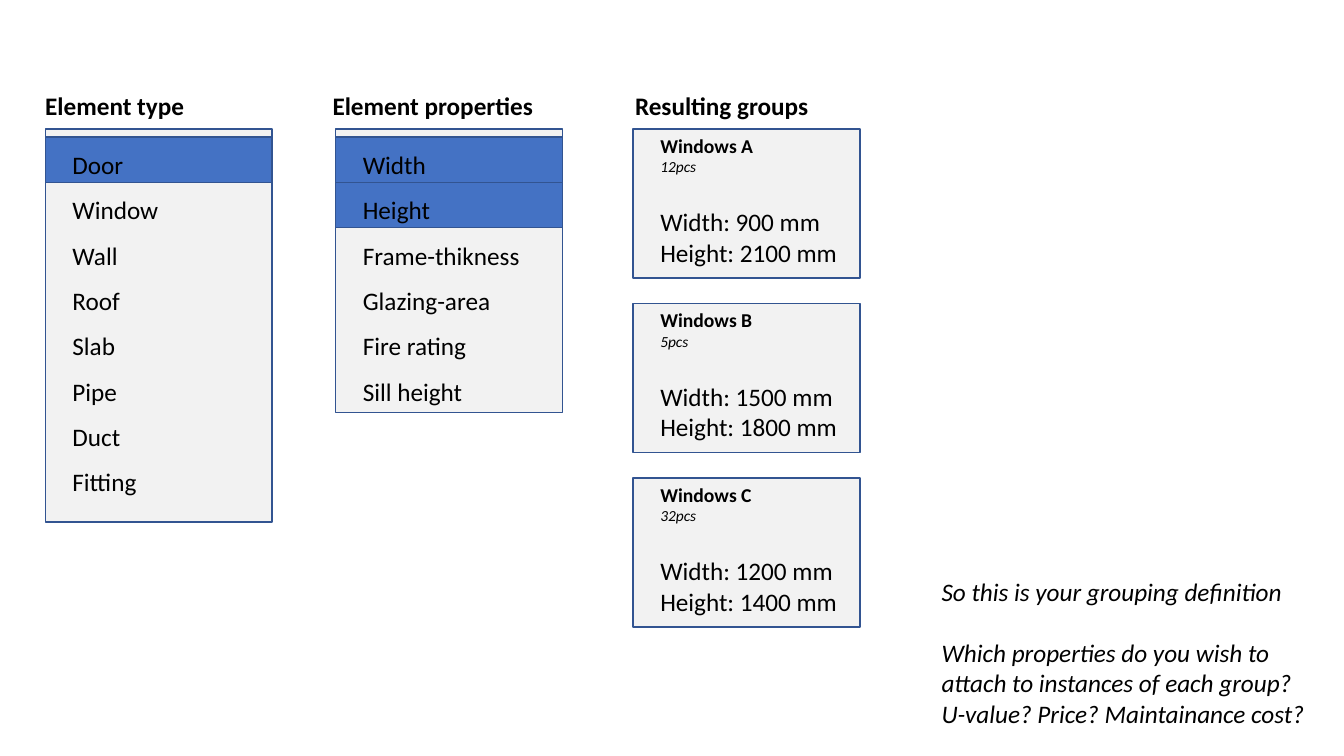
from pptx import Presentation
from pptx.dml.color import RGBColor
from pptx.enum.text import MSO_AUTO_SIZE
from pptx.util import Inches, Pt

BLACK = RGBColor(0x00, 0x00, 0x00)
PANEL_GREY = RGBColor(0xF2, 0xF2, 0xF2)
SELECTED_BLUE = RGBColor(0x44, 0x72, 0xC4)
OUTLINE_BLUE = RGBColor(0x32, 0x54, 0x91)

BODY = {"name": "Calibri", "size": Pt(18), "bold": False, "italic": False}
HEADING = {**BODY, "bold": True}
GROUP_NAME = {**HEADING, "size": Pt(14)}
COUNT = {**BODY, "size": Pt(11), "italic": True}
REMARK = {**BODY, "italic": True}

SPACED = {"line_spacing": 1.5}
AFTER_GAP = {"space_before": Pt(22)}

TOP = 1.28
COLUMN_WIDTH = 2.25
ROW_HEIGHT = 0.45
CARD_HEIGHT = 1.48
CARD_STEP = 1.73
TEXT_INSET = 0.17


class GroupingSlide:
    """Draws the headed lists, group cards and remarks of one slide."""

    def __init__(self, deck):
        self.slide = deck.slides.add_slide(deck.slide_layouts[6])
        self.shapes = self.slide.shapes

    def start_column(self, heading, left, width):
        self.shapes = self.slide.shapes.add_group_shape().shapes
        self.text(left, 0.85, width, 0.4, [(heading, HEADING, {})])

    def box(self, left, top, height, color):
        box = self.shapes.add_shape(1, Inches(left), Inches(top),
                                    Inches(COLUMN_WIDTH), Inches(height))
        box.shadow.inherit = False
        box.fill.solid()
        box.fill.fore_color.rgb = color
        box.line.color.rgb = OUTLINE_BLUE
        box.line.width = Pt(1)

    def text(self, left, top, width, height, lines):
        frame = self.shapes.add_textbox(Inches(left), Inches(top), Inches(width),
                                        Inches(height)).text_frame
        frame.word_wrap = False
        frame.auto_size = MSO_AUTO_SIZE.SHAPE_TO_FIT_TEXT
        for index, (wording, style, spacing) in enumerate(lines):
            paragraph = frame.add_paragraph() if index else frame.paragraphs[0]
            run = paragraph.add_run()
            run.text = wording
            run.font.color.rgb = BLACK
            for target, values in ((run.font, style), (paragraph, spacing)):
                for attribute, value in values.items():
                    setattr(target, attribute, value)

    def choices(self, left, height, selected, text_size, options):
        self.box(left, TOP, height, PANEL_GREY)
        for row in range(selected):
            self.box(left, 1.36 + row * ROW_HEIGHT, ROW_HEIGHT, SELECTED_BLUE)
        self.text(left + TEXT_INSET, TOP, *text_size,
                  [(option, BODY, SPACED) for option in options])

    def card(self, left, top, name, count, width_mm, height_mm):
        self.box(left, top, CARD_HEIGHT, PANEL_GREY)
        self.text(left + TEXT_INSET, top, 1.98, CARD_HEIGHT, [
            (name, GROUP_NAME, {}),
            (f"{count}pcs", COUNT, {}),
            (f"Width: {width_mm} mm", BODY, AFTER_GAP),
            (f"Height: {height_mm} mm", BODY, {}),
        ])

    def remarks(self):
        self.shapes = self.slide.shapes
        self.text(9.24, 5.67, 3.86, 1.62, [
            ("So this is your grouping definition", REMARK, {}),
            ("Which properties do you wish to", REMARK, AFTER_GAP),
            ("attach to instances of each group?", REMARK, {}),
            ("U-value? Price? Maintainance cost?", REMARK, {}),
        ])


def main():
    deck = Presentation()
    deck.slide_width, deck.slide_height = Inches(13.33), Inches(7.5)
    page = GroupingSlide(deck)

    page.start_column("Element type", 0.35, 1.59)
    page.choices(0.45, 3.9, 1, (1.06, 3.69),
                 ["Door", "Window", "Wall", "Roof", "Slab", "Pipe", "Duct", "Fitting"])

    page.start_column("Element properties", 3.2, 2.2)
    page.choices(3.33, 2.81, 2, (1.77, 2.78),
                 ["Width", "Height", "Frame-thikness", "Glazing-area",
                  "Fire rating", "Sill height"])

    page.start_column("Resulting groups", 6.2, 1.93)
    groups = [("Windows A", 12, 900, 2100), ("Windows B", 5, 1500, 1800),
              ("Windows C", 32, 1200, 1400)]
    for position, group in enumerate(groups):
        page.card(6.28, TOP + position * CARD_STEP, *group)

    page.remarks()
    deck.save("out.pptx")


if __name__ == "__main__":
    main()
